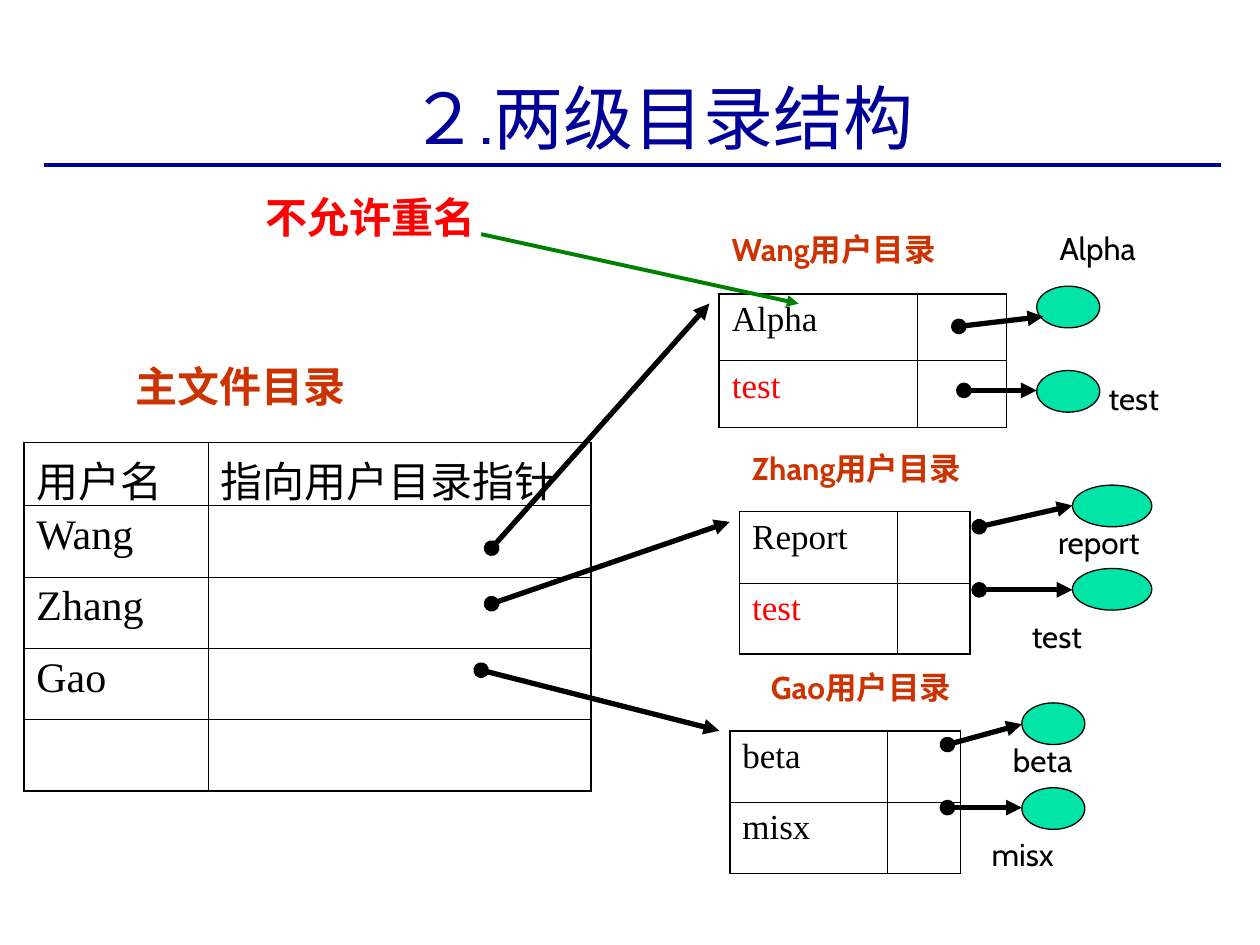
import pptx
import pptx.dml.color
import pptx.enum.shapes
import pptx.enum.text
import pptx.oxml
import pptx.oxml.ns
import pptx.util

Cm = pptx.util.Cm
Pt = pptx.util.Pt

COLORS = {"navy": "000099", "black": "000000", "red": "FF0000",
          "rust": "CC3300", "mint": "00E4A8", "green": "008000"}

# Text formats
SANS, SERIF = "Cabin", "Times New Roman"
TITLE = {"name": SANS, "size": Pt(40), "color": "navy"}
HEADING = {"name": SANS, "size": Pt(24), "bold": True, "color": "rust"}
WARNING = {"name": SERIF, "size": Pt(24), "bold": True, "color": "red"}
CAPTION = {"name": SANS, "size": Pt(18), "bold": True, "color": "rust"}
LABEL = {"name": SANS, "size": Pt(18), "color": "black"}
MAIN_CELL = {"name": SERIF, "size": Pt(24), "color": "black"}
USER_CELL = {"name": SERIF, "size": Pt(20), "color": "black"}
CLASH_CELL = {**USER_CELL, "color": "red"}

# Content; all lengths in centimetres
MAIN_TABLE = {
    "at": (0.48, 8.92), "columns": (3.71, 7.72),
    "heights": [1.27] + [1.44] * 4,
    "rows": [("用户名", "指向用户目录指针"), ("Wang", ""),
             ("Zhang", ""), ("Gao", ""), ("", "")],
}
HEADINGS = [  # text, left, top, width, format
    ("主文件目录", 2.49, 7.14, 7.21, HEADING),
    ("不允许重名", 5.11, 3.73, 5.21, WARNING),
]
# Each file: name, label (left, top), arrow start, arrow tip, ellipse top
USERS = [
    {"caption": ("Wang用户目录", 14.5, 4.52, 5.21),
     "at": (14.5, 5.92), "columns": (3.99, 1.8), "height": 1.35,
     "ellipse": (20.9, 1.27), "label_width": 3.0,
     "files": [("Alpha", (21.11, 4.5), (19.33, 6.58), (21.03, 6.38), 5.77),
               ("test", (22.1, 7.52), (19.43, 7.87), (20.9, 7.87), 7.47)]},
    {"caption": ("Zhang用户目录", 14.91, 8.92, 5.64),
     "at": (14.91, 10.31), "columns": (3.18, 1.47), "height": 1.44,
     "ellipse": (21.62, 1.6), "label_width": 3.23,
     "files": [("Report", (21.08, 10.41), (19.74, 10.62), (21.62, 10.19), 9.78),
               ("test", (20.55, 12.32), (19.74, 11.89), (21.62, 11.89), 11.46)]},
    {"caption": ("Gao用户目录", 15.29, 13.34, 4.45),
     "at": (14.71, 14.73), "columns": (3.18, 1.47), "height": 1.44,
     "ellipse": (20.6, 1.27), "label_width": 2.54,
     "files": [("beta", (20.17, 14.81), (19.1, 15.01), (20.6, 14.6), 14.17),
               ("misx", (19.74, 16.71), (19.1, 16.28), (20.6, 16.28), 15.88)]},
]
LABEL_NAMES = {"Report": "report"}
POINTERS = [((9.91, 11.05), (14.3, 6.12)),
            ((9.91, 12.17), (14.71, 10.52)),
            ((9.7, 13.51), (14.5, 14.73))]
WARNING_ARROW = ((9.7, 4.72), (16.1, 6.12))
ELLIPSE_HEIGHT = 0.84


def rgb(color):
    return pptx.dml.color.RGBColor.from_string(COLORS[color])


def write(para, text, style):
    span = para.add_run()
    span.text = text
    for name, value in style.items():
        if name == "color":
            span.font.color.rgb = rgb(value)
        else:
            setattr(span.font, name, value)


def add_text(page, text, left, top, width, height, style, **frame_format):
    box = page.shapes.add_textbox(Cm(left), Cm(top), Cm(width), Cm(height))
    frame = box.text_frame
    for name, value in {"word_wrap": True, **frame_format}.items():
        setattr(frame, name, value)
    write(frame.paragraphs[0], text, style)
    return frame.paragraphs[0]


def add_line(page, start, end, color="black", weight=3, head=None, tail=None):
    line = page.shapes.add_connector(
        pptx.enum.shapes.MSO_CONNECTOR.STRAIGHT,
        *[Cm(value) for value in start + end])
    line.line.color.rgb = rgb(color)
    line.line.width = Pt(weight)
    outline = line.line._get_or_add_ln()
    for tag, kind in (("a:headEnd", head), ("a:tailEnd", tail)):
        if kind:
            marker = pptx.oxml.ns.qn(tag)
            outline.makeelement(marker)
            outline.append(outline.makeelement(marker, {"type": kind}))
    properties = line._element.spPr
    properties.append(properties.makeelement(pptx.oxml.ns.qn("a:effectLst")))


def add_pointer(page, start, end):
    add_line(page, start, end, head="oval", tail="triangle")


def add_border(cell, side, weight):
    cell._tc.get_or_add_tcPr().append(pptx.oxml.parse_xml(
        f'<a:ln{side} {pptx.oxml.ns.nsdecls("a")} w="{Pt(weight)}"><a:solidFill>'
        f'<a:srgbClr val="{COLORS["black"]}"/></a:solidFill></a:ln{side}>'))


def add_grid(page, at, columns, heights, rows, styles):
    frame = page.shapes.add_table(
        len(rows), len(columns), Cm(at[0]), Cm(at[1]),
        Cm(sum(columns)), Cm(sum(heights)))
    table = frame.table
    table.first_row = table.horz_banding = False
    for column, width in zip(table.columns, columns):
        column.width = Cm(width)
    last_row, last_column = len(rows) - 1, len(columns) - 1
    for r, texts in enumerate(rows):
        table.rows[r].height = Cm(heights[r])
        for c, text in enumerate(texts):
            cell = table.cell(r, c)
            if text:
                write(cell.text_frame.paragraphs[0], text, styles[r])
            # Outer edges are heavier than inner ones
            outer = {"L": c == 0, "R": c == last_column,
                     "T": r == 0, "B": r == last_row}
            for side, is_outer in outer.items():
                add_border(cell, side, 1.08 if is_outer else 0.45)
            cell.fill.background()


def add_file(page, user, name, label_at, start, tip, top):
    left, width = user["ellipse"]
    ellipse = page.shapes.add_shape(
        pptx.enum.shapes.MSO_SHAPE.OVAL,
        Cm(left), Cm(top), Cm(width), Cm(ELLIPSE_HEIGHT))
    ellipse.shadow.inherit = False
    ellipse.fill.solid()
    ellipse.fill.fore_color.rgb = rgb("mint")
    ellipse.line.color.rgb = rgb("black")
    ellipse.line.width = Pt(0.75)
    add_text(page, LABEL_NAMES.get(name, name), *label_at,
             user["label_width"], 1.02, LABEL)
    add_pointer(page, start, tip)


def main():
    deck = pptx.Presentation()
    deck.slide_width, deck.slide_height = Cm(25.4), Cm(19.05)
    page = deck.slides.add_slide(deck.slide_layouts[6])

    # Title and rule
    add_line(page, (0.89, 3.33), (24.61, 3.33), "navy", 2.5)
    title = add_text(page, "２.两级目录结构", 1.7, 0, 23.27, 3.33, TITLE,
                     vertical_anchor=pptx.enum.text.MSO_ANCHOR.BOTTOM)
    title.alignment = pptx.enum.text.PP_ALIGN.CENTER

    # User directories and their files
    for user in USERS:
        rows = [(file[0], "") for file in user["files"]]
        styles = [CLASH_CELL if name == "test" else USER_CELL for name, _ in rows]
        add_grid(page, user["at"], user["columns"],
                 [user["height"]] * len(rows), rows, styles)
        add_text(page, *user["caption"], 1.02, CAPTION)
        for file in user["files"]:
            add_file(page, user, *file)

    # Main directory, its pointers and the warning
    add_grid(page, **MAIN_TABLE, styles=[MAIN_CELL] * len(MAIN_TABLE["rows"]))
    for start, end in POINTERS:
        add_pointer(page, start, end)
    for text, left, top, width, style in HEADINGS:
        add_text(page, text, left, top, width, 1.27, style)
    add_line(page, *WARNING_ARROW, "green", 2.25, tail="triangle")

    deck.save("out.pptx")


if __name__ == "__main__":
    main()
